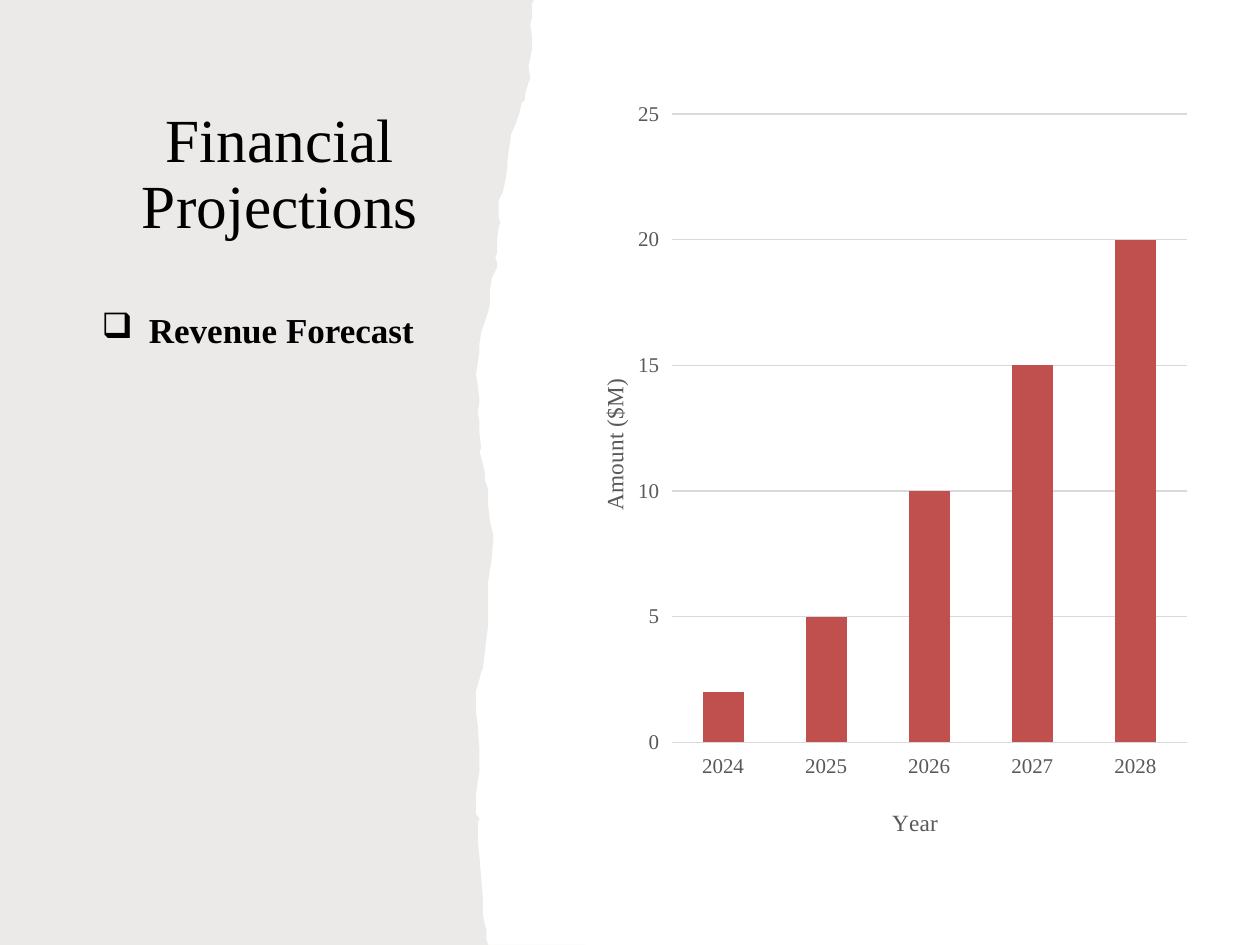
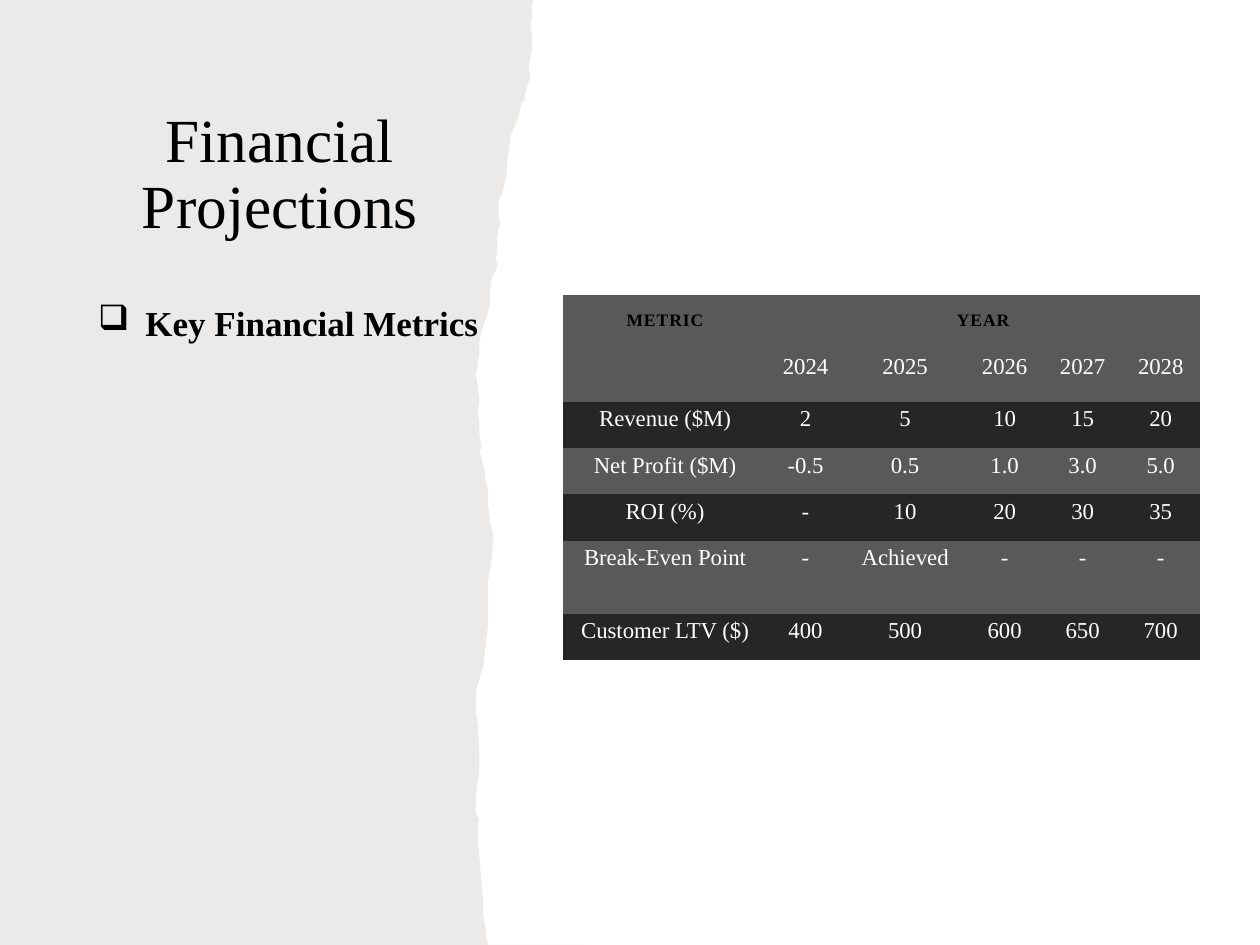
from lxml.etree import SubElement
from pptx import Presentation
from pptx.chart.data import CategoryChartData
from pptx.dml.color import RGBColor
from pptx.enum.chart import XL_CHART_TYPE, XL_TICK_MARK
from pptx.enum.text import MSO_ANCHOR, PP_ALIGN
from pptx.oxml.ns import qn
from pptx.util import Pt

SERIF = "Times New Roman"
BLACK, WHITE = "000000", "FFFFFF"
SAND, RED = "82766A", "C0504D"
GRAY, DARK, GRID = "595959", "262626", "D9D9D9"
WIDE, HIGH = 720, 540
PANEL = (0, 0, 334, HIGH)
TITLE = (49.5, 48, 221, 105)
MAIN = (322, 52, 363.6, 438)

# Torn edge of the panel, from top to bottom
TEAR = [
    (305, 0), (304, 1.5), (303.8, 10), (303, 14.4), (303.8, 21), (303.8, 28),
    (302.4, 37.5), (303.1, 45), (302, 47), (299.5, 54), (299.5, 57),
    (298, 59), (296.6, 64), (295, 70), (292, 77), (291, 83.5), (290, 91.5),
    (289.5, 95), (289.4, 102), (288, 107), (287.3, 111), (285.8, 112.3),
    (285.2, 115), (285, 124.6), (285.6, 127), (285, 130), (284, 137),
    (283.7, 140.4), (284, 142), (283.6, 144.7), (283, 147), (284.3, 149.5),
    (283.6, 153), (280.8, 159), (280, 166), (280, 173), (279, 178),
    (277, 183.6), (275.2, 189.5), (274.3, 196.5), (273.6, 201),
    (273, 207), (272.2, 214), (273, 220), (273.6, 229), (273.4, 236),
    (274.3, 241), (274.4, 248), (275, 256), (274.4, 258.5), (275, 262),
    (276.5, 265), (277.2, 270), (277.3, 274), (278.6, 280), (278.6, 287),
    (279.4, 289), (280, 297.5), (281.6, 305.5), (280.8, 319), (278.7, 332),
    (278.6, 347), (278.6, 357), (277.9, 364.5), (277.2, 373), (275.8, 381.6),
    (275, 384), (274.4, 388), (272.2, 394.6), (272.2, 402.5), (272, 407),
    (273, 414.7), (273.6, 430.5), (273.6, 440.6), (272.8, 446.4),
    (272.2, 454.3), (272.2, 465), (273.6, 468), (272.9, 470), (272.9, 479.5),
    (273.6, 490.3), (275, 502), (275.8, 515), (276.5, 523), (277.2, 528),
    (277.9, 532), (278, 537), (278.7, 540),
]

YEARS = ["2024", "2025", "2026", "2027", "2028"]
SALES = [2, 5, 10, 15, 20]
METRICS = [
    ["", *YEARS],
    ["Revenue ($M)", *map(str, SALES)],
    ["Net Profit ($M)", "-0.5", "0.5", "1.0", "3.0", "5.0"],
    ["ROI (%)", "-", "10", "20", "30", "35"],
    ["Break-Even Point", "-", "Achieved", "-", "-", "-"],
    ["Customer LTV ($)", "400", "500", "600", "650", "700"],
]
COLS = [116, 44.6, 69.2, 44.6, 44.6, 44.6]
ROWS = [31, 28, 26.5, 26.5, 26.5, 41.75, 26.5]


def color(code):
    return RGBColor.from_string(code)


def points(box):
    return [Pt(n) for n in box]


def style(font, size, code, bold=False):
    font.name, font.size, font.bold = SERIF, Pt(size), bold
    font.color.rgb = color(code)


def panel(slide, box):
    left, top, width, height = box
    pen = slide.shapes.build_freeform(0, 0, scale=Pt(1))
    pen.add_line_segments([*TEAR, (width, height), (0, height)], close=True)
    shape = pen.convert_to_shape(Pt(left), Pt(top))
    shape.shadow.inherit = False
    shape.line.fill.background()
    shape.fill.solid()
    shape.fill.fore_color.rgb = color(SAND)
    tint = shape.fill._xPr.find(".//" + qn("a:srgbClr"))
    SubElement(tint, qn("a:alpha"), val="15000")


def label(slide, box, text):
    """Add a wrapped text box and return its frame and paragraph."""
    frame = slide.shapes.add_textbox(*points(box)).text_frame
    frame.word_wrap = True
    para = frame.paragraphs[0]
    para.text = text
    return frame, para


def title(slide, box):
    frame, para = label(slide, box, "Financial Projections")
    frame.vertical_anchor = MSO_ANCHOR.MIDDLE
    para.alignment = PP_ALIGN.CENTER
    para.line_spacing = 0.9
    style(para.font, 35, BLACK)


def topic(slide, box, text):
    para = label(slide, box, text)[1]
    props = para._p.get_or_add_pPr()
    props.set("marL", str(Pt(27)))
    props.set("indent", str(Pt(-27)))
    SubElement(props, qn("a:buChar"), char="❑")
    style(para.font, 20, BLACK, True)


def place(part, **spots):
    """Fix a chart part at fractions of the chart's size."""
    layout = part.find(qn("c:layout"))
    if layout is None:
        layout = SubElement(part, qn("c:layout"))
        part.insert(0, layout)
    manual = SubElement(layout, qn("c:manualLayout"))
    if "w" in spots:
        SubElement(manual, qn("c:layoutTarget"), val="inner")
    for key in "xy":
        SubElement(manual, qn(f"c:{key}Mode"), val="edge")
    for key, spot in spots.items():
        SubElement(manual, qn(f"c:{key}"), val=str(spot))


def axis_text(axis, text, x, y):
    style(axis.tick_labels.font, 12, GRAY)
    axis.major_tick_mark = XL_TICK_MARK.OUTSIDE
    axis.format.line.fill.background()
    frame = axis.axis_title.text_frame
    frame.text = text
    style(frame.paragraphs[0].font, 13.3, GRAY)
    place(axis.axis_title._element, x=x, y=y)
    return frame


def forecast(slide, box):
    data = CategoryChartData()
    data.categories = YEARS
    data.add_series("Series 1", SALES)
    kind = XL_CHART_TYPE.COLUMN_CLUSTERED
    chart = slide.shapes.add_chart(kind, *points(box), data).chart
    chart.has_title = chart.has_legend = False
    chart.font.name, chart.font.size = "Calibri", Pt(10)
    chart.font.color.rgb = color(BLACK)
    plot = chart.plots[0]
    plot.gap_width = 150
    plot.vary_by_categories = False
    fill = plot.series[0].format.fill
    fill.solid()
    fill.fore_color.rgb = color(RED)

    axis_text(chart.category_axis, "Year", 0.51, 0.93)
    axis = chart.value_axis
    frame = axis_text(axis, "Amount ($M)", 0.05, 0.37)
    frame._txBody.bodyPr.set("rot", "-5400000")
    frame._txBody.bodyPr.set("vert", "horz")
    axis.minimum_scale, axis.maximum_scale, axis.major_unit = 0, 25, 5
    line = axis.major_gridlines.format.line
    line.color.rgb, line.width = color(GRID), Pt(0.75)
    area = chart._chartSpace.find(".//" + qn("c:plotArea"))
    place(area, x=0.17, y=0.03, w=0.81, h=0.82)


def write(cell, text, pads, size, code, bold=False):
    cell.margin_left, cell.margin_top, cell.margin_right, cell.margin_bottom = points(pads)
    para = cell.text_frame.paragraphs[0]
    para.text = text
    para.alignment = PP_ALIGN.CENTER
    style(para.font, size, code, bold)
    return para


def metrics(slide, box):
    table = slide.shapes.add_table(len(ROWS), len(COLS), *points(box)).table
    # Plain style: no grid, no bands
    table._tbl.tblPr.find(qn("a:tableStyleId")).text = "{2D5ABB26-0587-4C30-8999-92F81FD0307C}"
    for col, width in zip(table.columns, COLS):
        col.width = Pt(width)
    for i, (row, height) in enumerate(zip(table.rows, ROWS)):
        row.height = Pt(height)
        for cell in row.cells:
            cell.fill.solid()
            cell.fill.fore_color.rgb = color(DARK if i and i % 2 == 0 else GRAY)
    table.cell(0, 0).merge(table.cell(1, 0))
    table.cell(0, 1).merge(table.cell(0, 5))
    for j, text in enumerate(["METRIC", "YEAR"]):
        para = write(table.cell(0, j), text, [9] * 4, 10, BLACK, True)
        para.font._rPr.set("spc", "60")
    for i, texts in enumerate(METRICS, 1):
        for j, text in enumerate(texts):
            if text:
                write(table.cell(i, j), text, (6, 3, 6, 6), 13, WHITE)


def page(deck, text, box):
    """Add a slide with the torn panel, the title and one topic."""
    slide = deck.slides.add_slide(deck.slide_layouts[6])
    slide.background.fill.solid()
    slide.background.fill.fore_color.rgb = color(WHITE)
    panel(slide, PANEL)
    title(slide, TITLE)
    topic(slide, box, text)
    return slide


def main():
    deck = Presentation()
    deck.slide_width, deck.slide_height = Pt(WIDE), Pt(HIGH)
    forecast(page(deck, "Revenue Forecast", (51, 173, 202, 307)), MAIN)
    left, _, width, _ = MAIN
    slide = page(deck, "Key Financial Metrics", (49, 168.5, 235.5, 307))
    metrics(slide, (left, 168.5, width, sum(ROWS)))
    deck.save("out.pptx")


if __name__ == "__main__":
    main()
